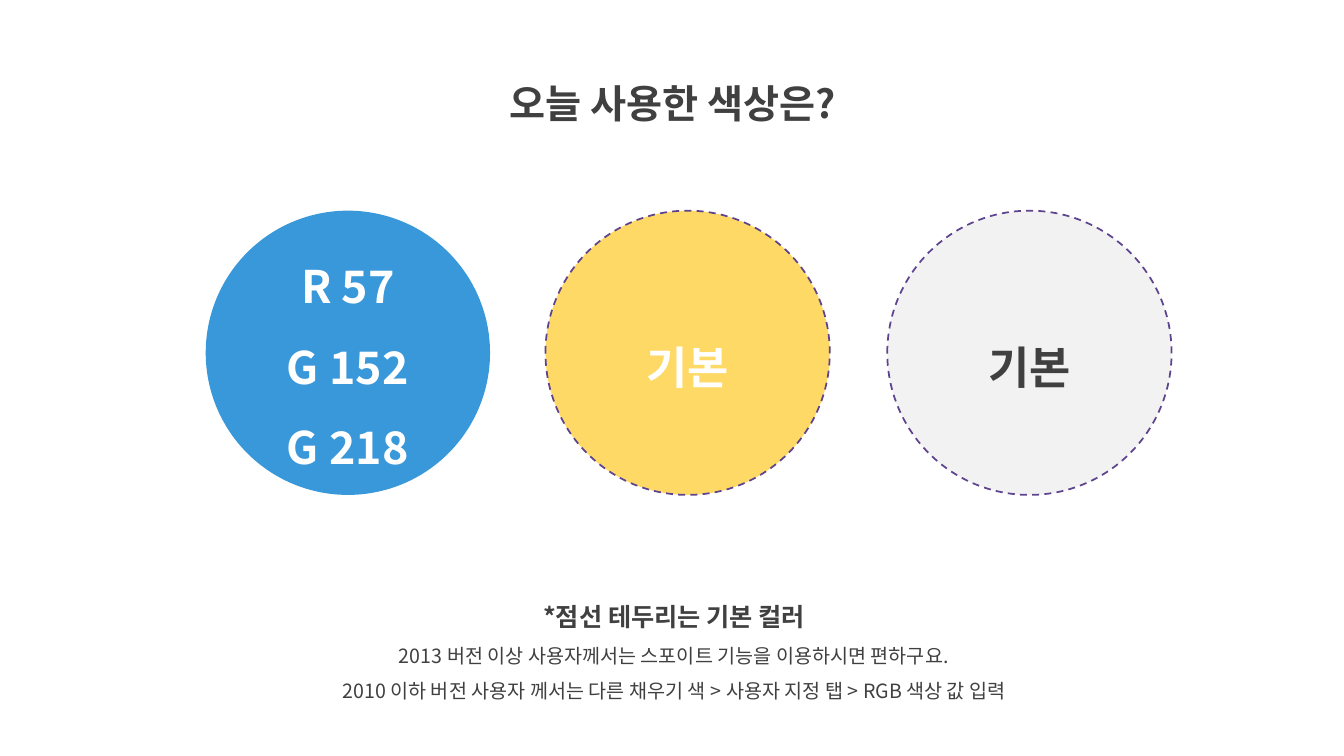
"""Build a slide that shows the three colours used today."""
import pptx
import pptx.dml.color
import pptx.enum.dml
import pptx.enum.shapes
import pptx.enum.text
import pptx.oxml
import pptx.oxml.ns
import pptx.util

Inches = pptx.util.Inches
Pt = pptx.util.Pt

FONT = "Noto Sans CJK KR"
COLORS = {
    "text": "404040",
    "white": "FFFFFF",
    "blue": "3998DA",
    "yellow": "FFD966",
    "gray": "F2F2F2",
    "outline": "5E448E",
}


def rgb(name):
    return pptx.dml.color.RGBColor.from_string(COLORS[name])


def write_lines(tf, lines, color, anchor):
    tf.word_wrap = True
    tf.vertical_anchor = anchor
    tf.text = "\n".join(text for text, size, bold in lines)
    for p, (text, size, bold) in zip(tf.paragraphs, lines):
        p.alignment = pptx.enum.text.PP_ALIGN.CENTER
        p.line_spacing = 1.5
        p.space_before = Pt(0)
        for r in p.runs:
            r.font.size = Pt(size)
            r.font.bold = bold
            r.font.color.rgb = rgb(color)
            r.font.name = FONT
            ea = pptx.oxml.parse_xml(
                f'<a:ea {pptx.oxml.ns.nsdecls("a")} typeface="{FONT}"/>')
            r.font._element.append(ea)


def add_title(s, text):
    sp = s.shapes.title
    sp.left, sp.top = Inches(4.36), Inches(0.5)
    sp.width, sp.height = Inches(4.63), Inches(0.72)
    write_lines(sp.text_frame, [(text, 28, True)], "text",
                pptx.enum.text.MSO_ANCHOR.TOP)
    sp.text_frame.auto_size = pptx.enum.text.MSO_AUTO_SIZE.SHAPE_TO_FIT_TEXT


def add_note(s, lines):
    sp = s.shapes.add_textbox(Inches(2.69), Inches(5.77), Inches(7.99), Inches(1.26))
    write_lines(sp.text_frame, lines, "text", pptx.enum.text.MSO_ANCHOR.TOP)
    sp.text_frame.auto_size = pptx.enum.text.MSO_AUTO_SIZE.SHAPE_TO_FIT_TEXT


def add_swatch(s, left, fill, color, labels, dashed):
    sp = s.shapes.add_shape(pptx.enum.shapes.MSO_SHAPE.OVAL, Inches(left),
                            Inches(2.09), Inches(2.82), Inches(2.82))
    sp.shadow.inherit = False
    sp.fill.solid()
    sp.fill.fore_color.rgb = rgb(fill)
    if dashed:
        sp.line.color.rgb = rgb("outline")
        sp.line.width = Pt(1.25)
        sp.line.dash_style = pptx.enum.dml.MSO_LINE.DASH
    else:
        sp.line.fill.background()
    write_lines(sp.text_frame, [(label, 32, True) for label in labels], color,
                pptx.enum.text.MSO_ANCHOR.MIDDLE)


def main():
    prs = pptx.Presentation()
    prs.slide_width, prs.slide_height = Inches(13.33), Inches(7.5)
    s = prs.slides.add_slide(prs.slide_layouts[5])
    add_title(s, "오늘 사용한 색상은?")
    add_note(s, [
        ("*점선 테두리는 기본 컬러", 18, True),
        ("2013 버전 이상 사용자께서는 스포이트 기능을 이용하시면 편하구요.", 14, False),
        ("2010 이하 버전 사용자 께서는 다른 채우기 색 > 사용자 지정 탭 > RGB 색상 값 입력",
         14, False),
    ])
    add_swatch(s, 2.04, "blue", "white", ["R 57", "G 152", "G 218"], False)
    add_swatch(s, 5.41, "yellow", "white", ["기본"], True)
    add_swatch(s, 8.8, "gray", "text", ["기본"], True)
    prs.save("out.pptx")


if __name__ == "__main__":
    main()
